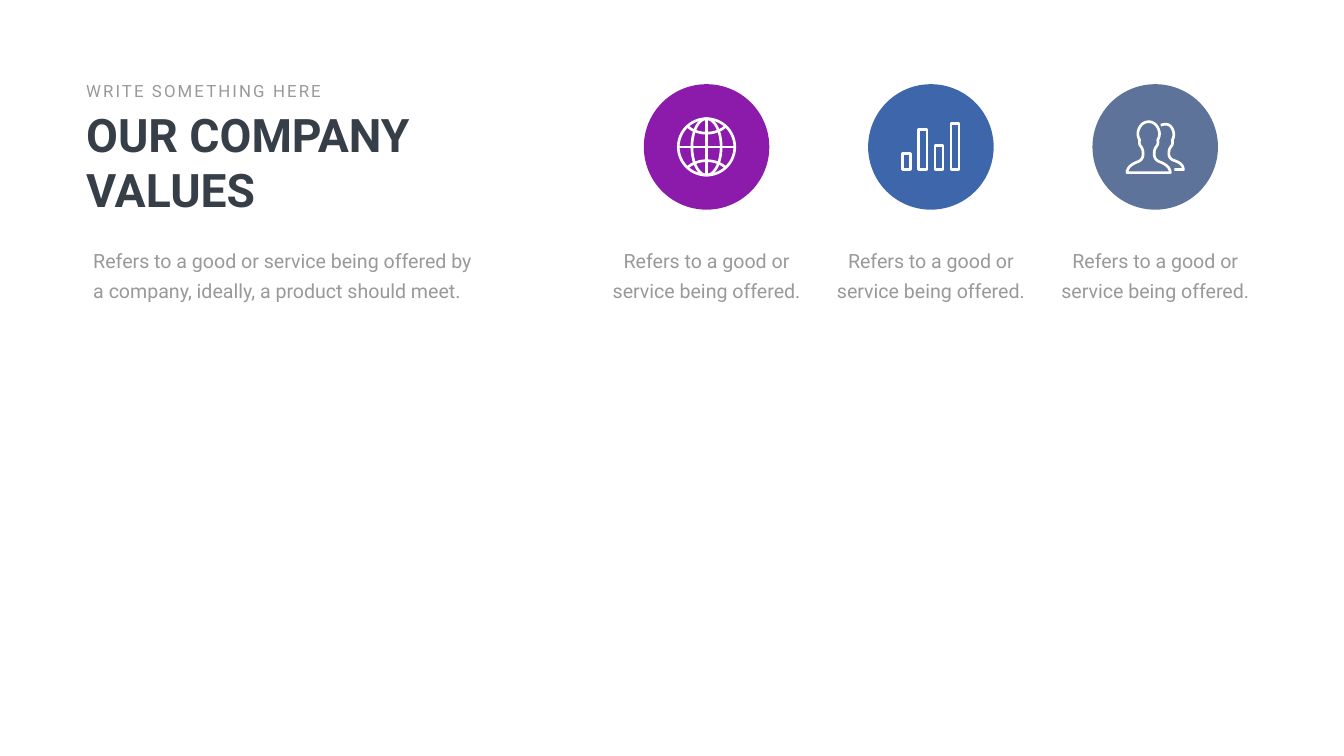
from math import cos, pi, sin

from pptx import Presentation
from pptx.dml.color import RGBColor
from pptx.enum.shapes import MSO_SHAPE
from pptx.enum.text import MSO_ANCHOR, MSO_AUTO_SIZE, PP_ALIGN
from pptx.util import Inches, Pt

FONT = "Roboto"
WHITE = RGBColor(0xFF, 0xFF, 0xFF)
DARK = RGBColor(0x36, 0x3E, 0x48)
GRAY = RGBColor(0x99, 0x99, 0x99)
PURPLE = RGBColor(0x8C, 0x1B, 0xAB)
BLUE = RGBColor(0x3D, 0x67, 0xAA)
SLATE = RGBColor(0x5D, 0x73, 0x9A)

STROKE = Pt(3.8)
DISC = 2.49
DISC_LEFT, DISC_TOP = 12.77, 1.67
COLUMN_STEP, COLUMN_WIDTH = 4.45, 4.25
TEXT_TOP, TEXT_HEIGHT = 4.68, 1.39
VALUE_TEXT = "Refers to a good or service being offered."
INTRO_TEXT = ("Refers to a good or service being offered by a company, "
              "ideally, a product should meet.")

PARALLEL = [(-0.37, 0.4), (-0.17, 0.23), (0.17, 0.23), (0.37, 0.4)]
HALF_BUST = [(0.43, 0.51), (0.42, 0.38), (0.3, 0.33), (0.23, 0.3),
             (0.2, 0.29), (0.11, 0.26), (0.11, 0.14),
             (0.11, 0.03), (0.15, 0), (0.17, -0.03),
             (0.18, -0.05), (0.19, -0.08), (0.18, -0.14),
             (0.21, -0.19), (0.23, -0.26), (0.2, -0.34),
             (0.17, -0.43), (0.1, -0.5), (0, -0.5)]
BACK_BUST = [(0.11, -0.43), (0.14, -0.44), (0.17, -0.45), (0.2, -0.45),
             (0.27, -0.45), (0.31, -0.42), (0.35, -0.34),
             (0.38, -0.25), (0.37, -0.19), (0.34, -0.14),
             (0.35, -0.07), (0.34, -0.05), (0.33, -0.03),
             (0.31, 0), (0.27, 0.03), (0.27, 0.13),
             (0.27, 0.23), (0.34, 0.26), (0.38, 0.27),
             (0.45, 0.3), (0.55, 0.33), (0.56, 0.45)]


def bezier(points, steps=10):
    """Sample a chain of cubic curves that share their end points."""
    samples = [points[0]]
    for i in range(0, len(points) - 1, 3):
        for n in range(1, steps + 1):
            t = n / steps
            weights = ((1 - t) ** 3, 3 * t * (1 - t) ** 2,
                       3 * t * t * (1 - t), t ** 3)
            samples.append(tuple(
                sum(w * pt[axis] for w, pt in zip(weights, points[i:i + 4]))
                for axis in (0, 1)))
    return samples


def ellipse(rx, ry, steps=72):
    """Sample an ellipse around the centre."""
    angles = [2 * pi * n / steps for n in range(steps)]
    return [(rx * cos(a), ry * sin(a)) for a in angles]


def globe():
    """Return the closed and open contours of a globe."""
    radius = 0.56
    closed = [ellipse(radius, radius), ellipse(0.29, radius)]
    lines = [[(-radius, 0), (radius, 0)], [(0, -radius), (0, radius)]]
    arcs = [bezier([(x, side * y) for x, y in PARALLEL]) for side in (-1, 1)]
    return closed, lines + arcs


def bars():
    """Return the contours of four bars on a common base."""
    base, width, step = 0.45, 0.16, 0.32
    closed = []
    for i, height in enumerate((0.32, 0.8, 0.48, 0.91)):
        left, top = -0.56 + step * i, base - height
        closed.append([(left, top), (left + width, top),
                       (left + width, base), (left, base)])
    return closed, []


def people():
    """Return the contours of a front bust and one behind it."""
    half = bezier(HALF_BUST)
    front = half + [(-x, y) for x, y in reversed(half[:-1])]
    return ([[(x - 0.13, y) for x, y in front]],
            [bezier(BACK_BUST) + [(0.38, 0.45)]])


def add_icon(s, cx, cy, closed, opened):
    """Add an icon as one white outline around a centre."""
    builder = None
    for contour in closed + opened:
        pts = [(Inches(cx + x), Inches(cy + y)) for x, y in contour]
        if builder is None:
            builder = s.shapes.build_freeform(*pts[0])
        else:
            builder.move_to(*pts[0])
        builder.add_line_segments(pts[1:], close=contour in closed)
    icon = builder.convert_to_shape()
    icon.shadow.inherit = False
    icon.fill.background()
    icon.line.color.rgb = WHITE
    icon.line.width = STROKE


def add_disc(s, x, color):
    """Add the coloured disc behind an icon."""
    disc = s.shapes.add_shape(MSO_SHAPE.OVAL, Inches(x), Inches(DISC_TOP),
                              Inches(DISC), Inches(DISC))
    disc.shadow.inherit = False
    disc.fill.solid()
    disc.fill.fore_color.rgb = color
    disc.line.fill.background()


def format_text(tf, text, size, color, bold=False, align=PP_ALIGN.LEFT):
    """Fill a text frame with one formatted paragraph."""
    tf.text = text
    tf.word_wrap = True
    tf.auto_size = MSO_AUTO_SIZE.SHAPE_TO_FIT_TEXT
    tf.vertical_anchor = MSO_ANCHOR.TOP
    p = tf.paragraphs[0]
    p.alignment = align
    font = p.runs[0].font
    font.name, font.size, font.bold = FONT, Pt(size), bold
    font.color.rgb = color
    return p


def add_body(s, x, width, text, align=PP_ALIGN.LEFT):
    """Add a gray description."""
    tf = s.shapes.add_textbox(Inches(x), Inches(TEXT_TOP), Inches(width),
                              Inches(TEXT_HEIGHT)).text_frame
    tf.margin_left = tf.margin_right = Inches(0.24)
    tf.margin_top = tf.margin_bottom = Inches(0.12)
    p = format_text(tf, text, 28, GRAY, align=align)
    p.line_spacing = Pt(43)


def add_heading(s):
    """Place the title and the spaced line above it."""
    title = s.shapes.title
    title.left, title.top = Inches(1.61), Inches(2.05)
    title.width, title.height = Inches(7.06), Inches(2.32)
    format_text(title.text_frame, "OUR COMPANY VALUES", 66, DARK, bold=True)
    tf = s.shapes.add_textbox(Inches(1.61), Inches(1.55), Inches(5),
                              Inches(0.5)).text_frame
    p = format_text(tf, "WRITE SOMETHING HERE", 24, GRAY)
    tf.word_wrap = False
    p.runs[0]._r.get_or_add_rPr().set("spc", "300")


def main():
    """Build the slide and save it."""
    prs = Presentation()
    prs.slide_width, prs.slide_height = Inches(26.66), Inches(15)
    s = prs.slides.add_slide(prs.slide_layouts[5])
    add_heading(s)
    add_body(s, 1.61, 8.14, INTRO_TEXT)
    values = ((PURPLE, globe()), (BLUE, bars()), (SLATE, people()))
    for i, (color, contours) in enumerate(values):
        x = DISC_LEFT + i * COLUMN_STEP
        center = x + DISC / 2
        add_disc(s, x, color)
        add_icon(s, center, DISC_TOP + DISC / 2, *contours)
        add_body(s, center - COLUMN_WIDTH / 2, COLUMN_WIDTH, VALUE_TEXT,
                 PP_ALIGN.CENTER)
    prs.save("out.pptx")


if __name__ == "__main__":
    main()
